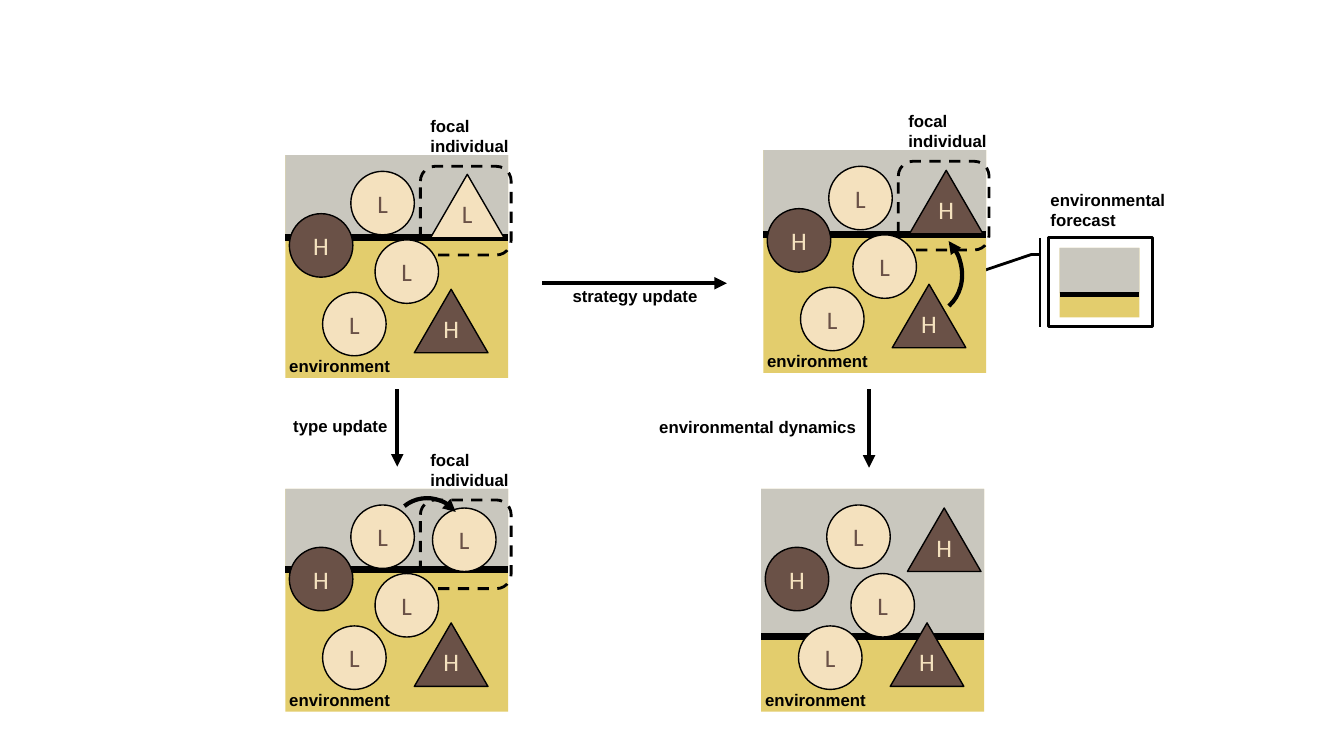
from lxml import etree
from pptx import Presentation
from pptx.dml.color import RGBColor
from pptx.enum.dml import MSO_LINE
from pptx.enum.shapes import MSO_CONNECTOR, MSO_SHAPE
from pptx.enum.text import MSO_ANCHOR, MSO_AUTO_SIZE, PP_ALIGN
from pptx.oxml.ns import qn
from pptx.util import Inches, Pt

RECT, OVAL, TRIANGLE = MSO_SHAPE.RECTANGLE, MSO_SHAPE.OVAL, MSO_SHAPE.ISOSCELES_TRIANGLE
ROUNDED, ARC = MSO_SHAPE.ROUNDED_RECTANGLE, MSO_SHAPE.ARC
CALLOUT = MSO_SHAPE.LINE_CALLOUT_2_BORDER_AND_ACCENT_BAR
STRAIGHT, DASH = MSO_CONNECTOR.STRAIGHT, MSO_LINE.DASH
MIDDLE, CENTER, FIT = MSO_ANCHOR.MIDDLE, PP_ALIGN.CENTER, MSO_AUTO_SIZE.SHAPE_TO_FIT_TEXT

THEME = {
    "ink": RGBColor.from_string("000000"),
    "paper": RGBColor.from_string("FFFFFF"),
    "ground": RGBColor.from_string("E3CD6D"),
    "sky": RGBColor.from_string("C7C7C7"),
    "light": RGBColor.from_string("F4E1BE"),
    "dark": RGBColor.from_string("6A5147"),
    "label_font": "Arial",
    "label_size": Pt(12),
    "letter_font": "Calibri",
    "letter_size": Pt(18),
}

deck = Presentation()
deck.slide_width, deck.slide_height = Inches(13.33), Inches(7.5)
page = deck.slides.add_slide(deck.slide_layouts[6])


def add_figure(kind, left, top, width, height, fill=None, line=0):
    figure = page.shapes.add_shape(kind, Inches(left), Inches(top), Inches(width), Inches(height))
    figure.shadow.inherit = False
    if fill:
        figure.fill.solid()
        figure.fill.fore_color.rgb = THEME[fill]
    else:
        figure.fill.background()
    if line:
        figure.line.color.rgb = THEME["ink"]
        figure.line.width = Pt(line)
    else:
        figure.line.fill.background()
    if fill == "sky":
        color = figure.element.spPr.find(qn("a:solidFill"))[0]
        etree.SubElement(color, qn("a:alpha"), val="90000")
    return figure


def add_line(x1, y1, x2, y2, width, arrow=False):
    line = page.shapes.add_connector(STRAIGHT, Inches(x1), Inches(y1), Inches(x2), Inches(y2))
    line.line.color.rgb = THEME["ink"]
    line.line.width = Pt(width)
    properties = line.element.spPr
    if arrow:
        etree.SubElement(properties.find(qn("a:ln")), qn("a:tailEnd"), type="triangle")
    etree.SubElement(properties, qn("a:effectLst"))


forecast = add_figure(CALLOUT, 10.4, 2.36, 1.03, 0.88, "paper", 2)
for index, value in enumerate([0.188, -0.083, 0.188, -0.167, 0.453, -0.839]):
    forecast.adjustments[index] = value
add_figure(RECT, 10.51, 2.46, 0.79, 0.69, "ground")
add_figure(RECT, 10.51, 2.46, 0.79, 0.45, "sky")
add_line(10.51, 2.92, 11.3, 2.92, 3.5)

labels = [
    ("environmental\nforecast", 10.32, 1.83, 1.35, 0.5),
    ("strategy update", 5.58, 2.79, 1.45, 0.3),
    ("type update", 2.81, 4.08, 1.15, 0.3),
    ("environmental dynamics", 6.44, 4.09, 2.17, 0.3),
]

for update_arrow in [(5.38, 2.81, 7.21, 2.81), (3.94, 3.86, 3.94, 4.63), (8.62, 3.86, 8.62, 4.64)]:
    add_line(*update_arrow, 3, arrow=True)

SIDE = 2.21
neighbours = [
    (OVAL, "L", 0.65, 0.16),
    (OVAL, "H", 0.04, 0.58),
    (OVAL, "L", 0.37, 1.36),
    (OVAL, "L", 0.89, 0.84),
    (TRIANGLE, "H", 1.28, 1.33),
]
panels = [
    (2.83, 1.54, 0.82, 0.82, (TRIANGLE, "L", 1.44, 0.19), True),
    (7.57, 1.49, 0.82, 0.84, (TRIANGLE, "H", 1.45, 0.2), True),
    (2.83, 4.85, 0.82, 0.8, (OVAL, "L", 1.46, 0.19), True),
    (7.55, 4.85, 1.45, 1.46, (TRIANGLE, "H", 1.45, 0.19), False),
]
imitations = [
    (8.61, 2.25, 0.96, 0.86, 48, "a:headEnd"),
    (3.88, 4.94, 0.72, 0.73, 321.1, "a:tailEnd"),
]

for left, top, sky_height, level, focal, marked in panels:
    add_figure(RECT, left, top, SIDE, SIDE, "ground")
    add_figure(RECT, left, top, SIDE, sky_height, "sky")
    add_line(left, top + level, left + SIDE, top + level, 5)
    labels.append(("environment", left - 0.06, top + 1.94, 1.21, 0.3))
    if marked:
        frame = add_figure(ROUNDED, left + 1.34, top + 0.11, 0.9, 0.88, line=2)
        frame.line.dash_style = DASH
        labels.append(("focal\nindividual", left + 1.34, top - 0.44, 0.99, 0.5))
    for kind, letter, across, down in neighbours + [focal]:
        fill, ink = ("light", "dark") if letter == "L" else ("dark", "light")
        width = 0.63 if kind == OVAL else 0.73
        individual = add_figure(kind, left + across, top + down, width, 0.63, fill, 1)
        text = individual.text_frame
        text.text = letter
        text.vertical_anchor = MIDDLE
        text.margin_left = text.margin_right = 0
        if kind == TRIANGLE:
            text.margin_bottom = Inches(0.22)
        para = text.paragraphs[0]
        para.alignment = CENTER
        span = para.runs[0]
        span.font.name = THEME["letter_font"]
        span.font.size = THEME["letter_size"]
        span.font.color.rgb = THEME[ink]

for left, top, width, height, turn, arrow_end in imitations:
    imitation = add_figure(ARC, left, top, width, height, line=3)
    imitation.rotation = turn
    etree.SubElement(imitation.element.spPr.find(qn("a:ln")), qn(arrow_end), type="triangle")

for wording, left, top, width, height in labels:
    box = page.shapes.add_textbox(Inches(left), Inches(top), Inches(width), Inches(height))
    box.text_frame.text = wording
    box.text_frame.word_wrap = False
    box.text_frame.auto_size = FIT
    for para in box.text_frame.paragraphs:
        for span in para.runs:
            span.font.name = THEME["label_font"]
            span.font.size = THEME["label_size"]
            span.font.bold = True
            span.font.color.rgb = THEME["ink"]

deck.save("out.pptx")
